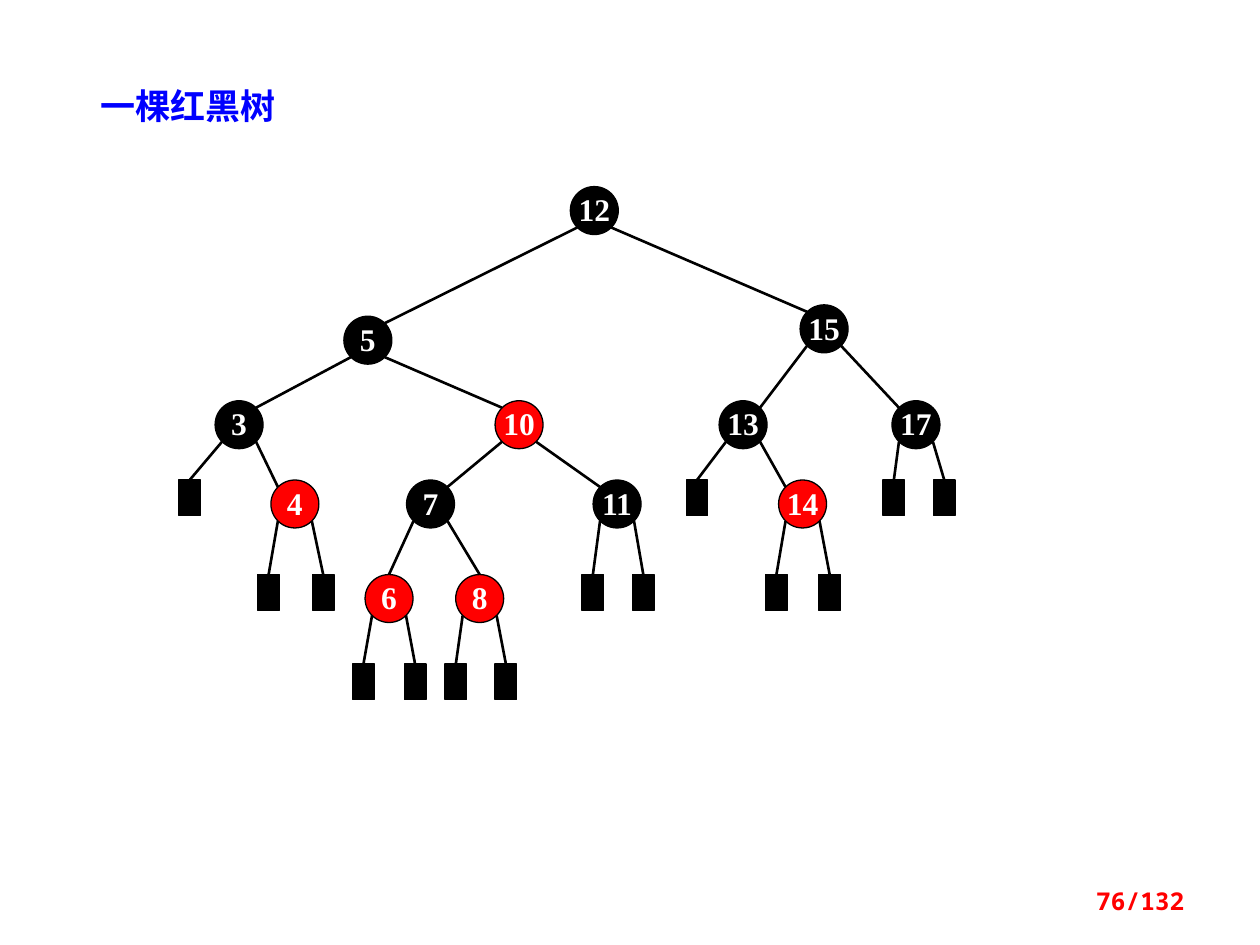
import pptx
import pptx.util
import pptx.dml.color
import pptx.enum.shapes
import pptx.enum.text
import pptx.oxml.ns
import lxml.etree

Pt = pptx.util.Pt
SHAPE = pptx.enum.shapes.MSO_SHAPE
ALIGN = pptx.enum.text.PP_ALIGN
ANCHOR = pptx.enum.text.MSO_ANCHOR
BLACK, RED, WHITE, BLUE = "000000", "FF0000", "FFFFFF", "0000FF"


def color(hex_string):
    return pptx.dml.color.RGBColor.from_string(hex_string)


def write(frame, text, size, font, hex_string, align):
    paragraph = frame.paragraphs[0]
    paragraph.text = text
    paragraph.alignment = align
    paragraph.font.size = Pt(size)
    paragraph.font.bold = True
    paragraph.font.color.rgb = color(hex_string)
    paragraph.font.name = font
    if font.startswith("Noto"):
        for run in paragraph.runs:
            east_asian = lxml.etree.SubElement(
                run._r.get_or_add_rPr(), pptx.oxml.ns.qn("a:ea"))
            east_asian.set("typeface", font)
    return paragraph


deck = pptx.Presentation()
deck.slide_width, deck.slide_height = Pt(720), Pt(540)
slide = deck.slides.add_slide(deck.slide_layouts[6])
shapes = slide.shapes

# Title and page number
for text, box, size, font, hue, align, anchor in [
    ("一棵红黑树", (50.4, 44.6, 230.4, 31.7), 20, "Noto Sans CJK SC", BLUE,
     ALIGN.LEFT, ANCHOR.TOP),
    ("76/132", (516.2, 500.4, 167.8, 28.8), 14, "Noto Sans Mono", RED,
     ALIGN.RIGHT, ANCHOR.MIDDLE),
]:
    frame = shapes.add_textbox(*map(Pt, box)).text_frame
    frame.word_wrap = True
    frame.vertical_anchor = anchor
    write(frame, text, size, font, hue, align)

# Tree: key -> (centre x, top, fill), then the inner edges
DIAMETER = 27.4
DIAGONAL = 9.7  # offset of a 45-degree point on the circle
LEVEL_3, LEVEL_4, LEVEL_5, LEVEL_6 = 229, 274.3, 328.3, 379.4
nodes = {
    12: (339.6, 106.6, BLACK),
    5: (210.2, 180.7, BLACK),
    15: (470.9, 174.2, BLACK),
    3: (136.6, LEVEL_3, BLACK),
    10: (296.6, LEVEL_3, RED),
    13: (424.6, LEVEL_3, BLACK),
    17: (523.4, LEVEL_3, BLACK),
    4: (168.5, LEVEL_4, RED),
    7: (246.0, LEVEL_4, BLACK),
    11: (352.6, LEVEL_4, BLACK),
    14: (458.6, LEVEL_4, RED),
    6: (222.3, LEVEL_5, RED),
    8: (274.1, LEVEL_5, RED),
}
edges = [(12, 5), (12, 15), (5, 3), (5, 10), (15, 13), (15, 17), (3, 4),
         (10, 7), (10, 11), (13, 14), (7, 6), (7, 8)]

# Empty leaves: parent, top, centres
LEAF_WIDTH, LEAF_HEIGHT = 12.4, 20.4
leaves = [
    (3, LEVEL_4, [108.4]),
    (13, LEVEL_4, [398.3]),
    (17, LEVEL_4, [510.8, 539.6]),
    (4, LEVEL_5, [153.5, 184.7]),
    (11, LEVEL_5, [338.8, 367.6]),
    (14, LEVEL_5, [443.7, 474.1]),
    (6, LEVEL_6, [207.7, 237.2]),
    (8, LEVEL_6, [260.5, 289.1]),
]

# Numbered nodes
circles = {}
for key, (x, top, fill) in nodes.items():
    circle = shapes.add_shape(SHAPE.OVAL, Pt(x - DIAMETER / 2), Pt(top),
                              Pt(DIAMETER), Pt(DIAMETER))
    circle.shadow.inherit = False
    circle.fill.solid()
    circle.fill.fore_color.rgb = color(fill)
    circle.line.color.rgb = color(BLACK)
    circle.line.width = Pt(0.75)
    frame = circle.text_frame
    frame.margin_left = frame.margin_right = 0
    frame.margin_top = frame.margin_bottom = 0
    frame.vertical_anchor = ANCHOR.MIDDLE
    label = write(frame, str(key), 18, "Times New Roman", WHITE, ALIGN.CENTER)
    label.line_spacing = Pt(20)
    circles[key] = circle

# Leaf boxes; each link holds parent, end x, end y and the shape joined at its top
links = []
for parent, top, centres in leaves:
    for x in centres:
        leaf = shapes.add_shape(SHAPE.RECTANGLE, Pt(x - LEAF_WIDTH / 2),
                                Pt(top), Pt(LEAF_WIDTH), Pt(LEAF_HEIGHT))
        leaf.shadow.inherit = False
        leaf.fill.solid()
        leaf.fill.fore_color.rgb = color(BLACK)
        leaf.line.color.rgb = color(BLACK)
        leaf.line.width = Pt(0.75)
        links.append((parent, x, top, leaf))

for parent, child in edges:
    x, top, _ = nodes[child]
    if top == LEVEL_5:  # the lowest nodes hang from their top point
        links.append((parent, x, top, circles[child]))
    else:
        toward_parent = DIAGONAL if x < nodes[parent][0] else -DIAGONAL
        links.append((parent, x + toward_parent,
                      top + DIAMETER / 2 - DIAGONAL, None))

# Lines leave the parent at its lower left or lower right
for parent, end_x, end_y, joined in links:
    x, top, _ = nodes[parent]
    start_x = x - DIAGONAL if end_x < x else x + DIAGONAL
    start_y = top + DIAMETER / 2 + DIAGONAL
    line = shapes.add_connector(pptx.enum.shapes.MSO_CONNECTOR.STRAIGHT,
                                Pt(start_x), Pt(start_y), Pt(end_x), Pt(end_y))
    line.line.color.rgb = color(BLACK)
    line.line.width = Pt(1.5)
    lxml.etree.SubElement(line._element.spPr, pptx.oxml.ns.qn("a:effectLst"))
    if joined is not None:
        line.end_connect(joined, 0)

deck.save("out.pptx")
